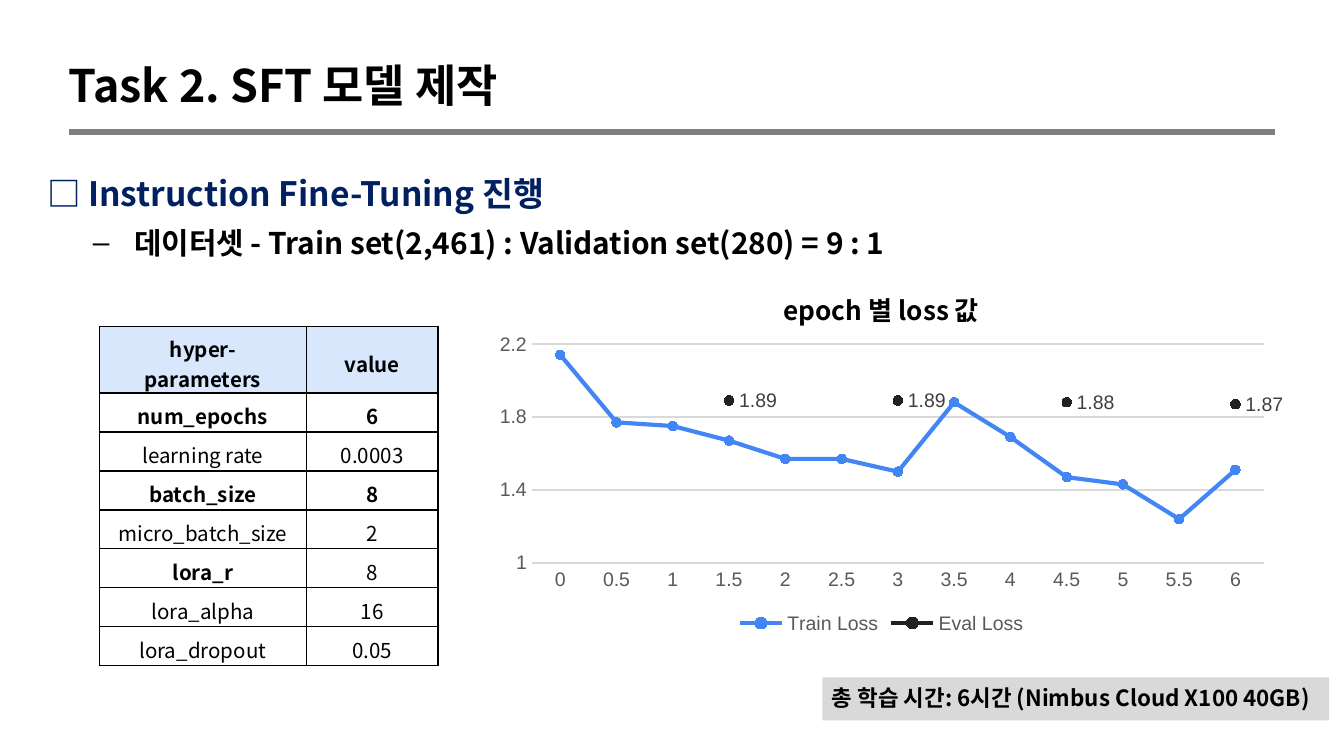
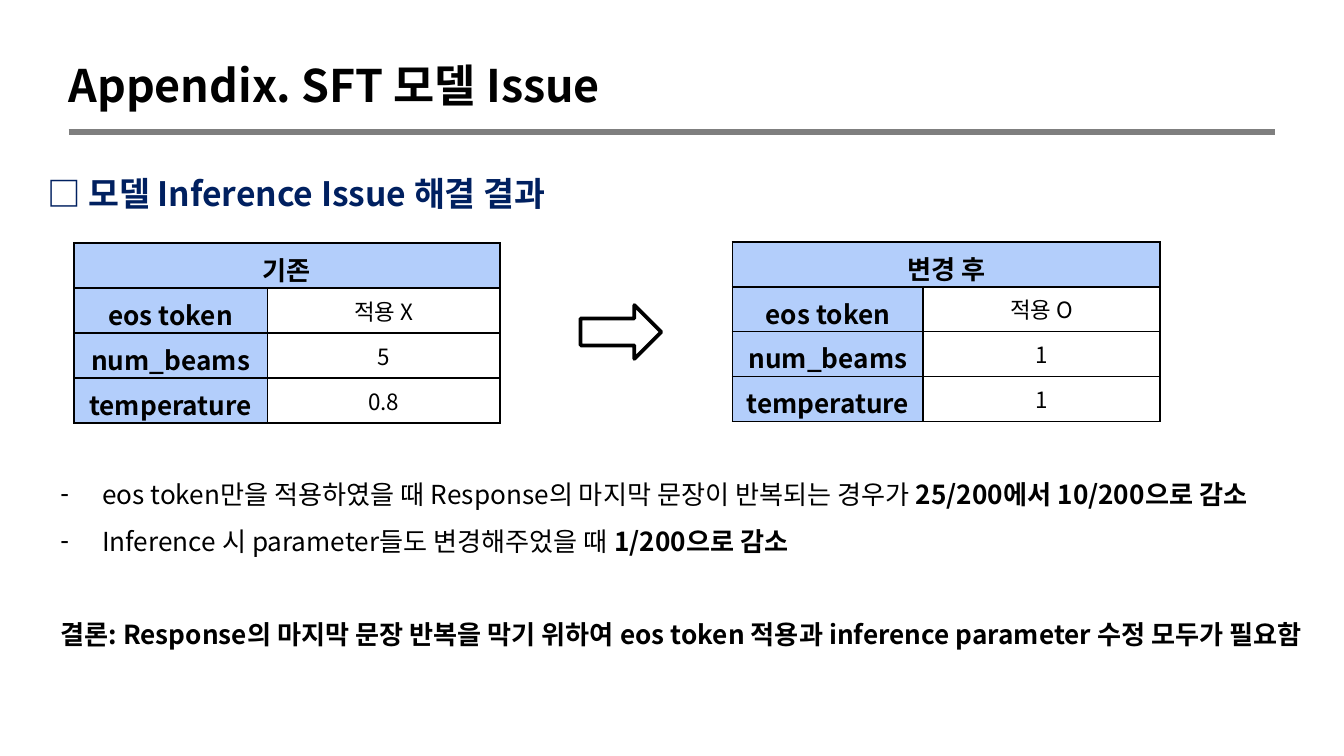
from lxml.etree import Element, SubElement
from pptx import Presentation
from pptx.chart.data import CategoryChartData
from pptx.dml.color import RGBColor
from pptx.enum.chart import (XL_CHART_TYPE, XL_LABEL_POSITION,
                             XL_LEGEND_POSITION, XL_MARKER_STYLE, XL_TICK_MARK)
from pptx.enum.shapes import MSO_CONNECTOR, MSO_SHAPE
from pptx.enum.text import MSO_ANCHOR, MSO_AUTO_SIZE, PP_ALIGN
from pptx.oxml.ns import qn
from pptx.util import Inches, Pt

FONT = "Noto Sans CJK KR"
PLAIN = "Arial"
BLACK = RGBColor(0, 0, 0)
NAVY = RGBColor(0x00, 0x20, 0x60)
GRAY = RGBColor(0x7F, 0x7F, 0x7F)
SILVER = RGBColor(0xD9, 0xD9, 0xD9)
SLATE = RGBColor(0x59, 0x59, 0x59)
COAL = RGBColor(0x40, 0x40, 0x40)
INK = RGBColor(0x21, 0x21, 0x21)
BLUE = RGBColor(0x42, 0x85, 0xF4)
PALE = RGBColor(0xD9, 0xE7, 0xFD)
SKY = RGBColor(0xB3, 0xCE, 0xFB)

COLS, ROWS = 100, 56.25
UNIT = Inches(0.1)
WIDE = (0.1, 0.1)
TIGHT = (0.07, 0.04)
STEP = 0.31

PARAMS = [("hyper-parameters", "value", "both"), ("num_epochs", "6", "both"),
          ("learning rate", "0.0003", ""), ("batch_size", "8", "both"),
          ("micro_batch_size", "2", ""), ("lora_r", "8", "name"),
          ("lora_alpha", "16", ""), ("lora_dropout", "0.05", "")]
TRAIN = [2.14, 1.77, 1.75, 1.67, 1.57, 1.57, 1.5, 1.88, 1.69, 1.47, 1.43, 1.24, 1.51]
EVAL = {1.5: 1.89, 3: 1.89, 4.5: 1.88, 6: 1.87}
KEYS = ["eos token", "num_beams", "temperature"]


def grid(*cells):
    return [int(cell * UNIT) for cell in cells]


def place(shape, box):
    shape.left, shape.top, shape.width, shape.height = grid(*box)


def style(run, size, bold=False, color=BLACK):
    font = run.font
    font.size, font.bold, font.name = Pt(size), bold, FONT
    font.color.rgb = color
    SubElement(run._r.get_or_add_rPr(), qn("a:ea"), typeface=FONT)


def setup(frame, pad, anchor):
    frame.word_wrap = True
    frame.auto_size = MSO_AUTO_SIZE.NONE
    frame.margin_left = frame.margin_right = Inches(pad[0])
    frame.margin_top = frame.margin_bottom = Inches(pad[1])
    frame.vertical_anchor = anchor


def write(para, parts, size, space, align=PP_ALIGN.JUSTIFY, color=BLACK,
          bullet=None, before=0):
    props = para._p.get_or_add_pPr()
    hang = Inches(STEP) if bullet else 0
    props.set("marL", str(hang))
    props.set("indent", str(-hang))
    if bullet:
        SubElement(props, qn("a:buChar"), char=bullet)
    else:
        SubElement(props, qn("a:buNone"))
    para.alignment, para.line_spacing = align, space
    para.space_before, para.space_after = Pt(before), Pt(0)
    for text, bold in parts:
        run = para.add_run()
        run.text = text
        style(run, size, bold, color)


def label(shape, text, size, space=0.9, pad=TIGHT, anchor=MSO_ANCHOR.MIDDLE, **look):
    setup(shape.text_frame, pad, anchor)
    write(shape.text_frame.paragraphs[0], [(text, True)], size, space, **look)


def start(deck, title, topic):
    slide = deck.slides.add_slide(deck.slide_layouts[3])
    head, body, notes = slide.placeholders
    place(head, (4.1, 2.1, 66.2, 7.3))
    place(body, (2.5, 10.4, 96.4, 6.6))
    top = dict(pad=WIDE, anchor=MSO_ANCHOR.TOP, align=PP_ALIGN.LEFT)
    label(head, title, 24, 1.3, **top)
    label(body, "□ " + topic, 18, 1.5, color=NAVY, **top)
    rule = slide.shapes.add_connector(MSO_CONNECTOR.STRAIGHT, *grid(5.1, 9.8, 94.9, 9.8))
    rule.line.color.rgb, rule.line.width = GRAY, Pt(3)
    SubElement(rule._element.spPr, qn("a:effectLst"))
    return slide, notes


def edge(cell):
    props = cell._tc.get_or_add_tcPr()
    for spot, side in enumerate(("lnL", "lnR", "lnT", "lnB")):
        line = Element(qn("a:" + side), w=str(Pt(1)))
        fill = SubElement(line, qn("a:solidFill"))
        SubElement(fill, qn("a:srgbClr"), val=str(BLACK))
        props.insert(spot, line)


def fill(cell, text, size, bold, color=None, pad=(0.05, 0)):
    if color:
        cell.fill.solid()
        cell.fill.fore_color.rgb = color
    else:
        cell.fill.background()
    edge(cell)
    cell.vertical_anchor = MSO_ANCHOR.MIDDLE
    cell.margin_top, cell.margin_bottom = map(Inches, pad)
    para = cell.text_frame.paragraphs[0]
    para.text = text
    para.alignment = PP_ALIGN.CENTER
    for run in para.runs:
        style(run, size, bold)


def table(slide, left, top, widths, heights):
    box = grid(left, top, sum(widths), sum(heights))
    result = slide.shapes.add_table(len(heights), len(widths), *box).table
    result.first_row = result.horz_banding = False
    for column, width in zip(result.columns, grid(*widths)):
        column.width = width
    for row, height in zip(result.rows, grid(*heights)):
        row.height = height
    return result


def params(slide):
    result = table(slide, 7.4, 24.3, (15.4, 9.8), [4.7] + [2.9] * 7)
    for row, (name, value, bold) in enumerate(PARAMS):
        color = None if row else PALE
        fill(result.cell(row, 0), name, 11, bold != "", color)
        fill(result.cell(row, 1), value, 11, bold == "both", color)


def state(slide, left, top, widths, title, values):
    result = table(slide, left, top, widths, [3.33] * 4)
    head = result.cell(0, 0)
    head.merge(result.cell(0, 1))
    fill(head, title, 14, True, SKY)
    edge(result.cell(0, 1))
    for row, (name, value) in enumerate(zip(KEYS, values), 1):
        fill(result.cell(row, 0), name, 14, True, SKY)
        fill(result.cell(row, 1), value, 12, False, pad=(0.02, 0.02))


def tone(font, color):
    font.name, font.size = PLAIN, Pt(10.5)
    font.color.rgb = color


def chart(slide, box):
    times = [step / 2 for step in range(len(TRAIN))]
    data = CategoryChartData()
    data.categories = [f"{time:g}" for time in times]
    data.add_series("Train Loss", TRAIN)
    data.add_series("Eval Loss", [EVAL.get(time) for time in times])
    plot = slide.shapes.add_chart(XL_CHART_TYPE.LINE_MARKERS, *grid(*box), data).chart
    tone(plot.font, BLACK)
    plot.has_title = False
    plot.has_legend = True
    plot.legend.position = XL_LEGEND_POSITION.BOTTOM
    plot.legend.include_in_layout = False
    tone(plot.legend.font, SLATE)
    across, up = plot.category_axis, plot.value_axis
    for axis in (across, up):
        axis.major_tick_mark = axis.minor_tick_mark = XL_TICK_MARK.NONE
        tone(axis.tick_labels.font, SLATE)
    up.minimum_scale, up.maximum_scale, up.major_unit = 1, 2.2, 0.4
    up.tick_labels.number_format = "General"
    up.tick_labels.number_format_is_linked = False
    up.format.line.fill.background()
    for line in (across.format.line, up.major_gridlines.format.line):
        line.color.rgb, line.width = SILVER, Pt(0.75)
    plot.plots[0].vary_by_categories = False
    for series, color in zip(plot.plots[0].series, (BLUE, INK)):
        series.smooth = False
        series.format.line.color.rgb, series.format.line.width = color, Pt(2.25)
        mark = series.marker
        mark.style, mark.size = XL_MARKER_STYLE.CIRCLE, 5
        mark.format.fill.solid()
        mark.format.fill.fore_color.rgb = color
        mark.format.line.color.rgb = color
    labels = plot.plots[0].series[1].data_labels
    labels.show_value = True
    labels.position = XL_LABEL_POSITION.RIGHT
    tone(labels.font, COAL)


def train(deck):
    slide, notes = start(deck, "Task 2. SFT 모델 제작", "Instruction Fine-Tuning 진행")
    place(notes, (6.2, 16.6, 62.1, 3.2))
    label(notes, "데이터셋 - Train set(2,461) : Validation set(280) = 9 : 1", 16, bullet="–")
    params(slide)
    chart(slide, (36, 24.3, 59.5, 23.3))
    band = slide.shapes.add_shape(MSO_SHAPE.RECTANGLE, *grid(61.2, 50.4, 37.7, 3.2))
    band.shadow.inherit = False
    band.fill.solid()
    band.fill.fore_color.rgb = SILVER
    band.line.fill.background()
    label(band, "총 학습 시간: 6시간 (Nimbus Cloud X100 40GB)", 12)
    name = slide.shapes.add_textbox(*grid(57.6, 21.6, 18.4, 3.2))
    label(name, "epoch 별 loss 값", 14)


def issue(deck):
    slide, notes = start(deck, "Appendix. SFT 모델 Issue", "모델 Inference Issue 해결 결과")
    state(slide, 5.5, 18.1, (14.4, 17.3), "기존", ["적용 X", "5", "0.8"])
    state(slide, 54.5, 18, (14.2, 17.6), "변경 후", ["적용 O", "1", "1"])
    arrow = slide.shapes.add_shape(MSO_SHAPE.DOWN_ARROW, *grid(44.2, 21.7, 4, 6))
    arrow.rotation = 270
    arrow.shadow.inherit = False
    arrow.fill.background()
    arrow.line.color.rgb, arrow.line.width = BLACK, Pt(2)
    place(notes, (3.5, 33.9, 94.8, 18.7))
    frame = notes.text_frame
    setup(frame, (0.1, 0.05), MSO_ANCHOR.TOP)
    write(frame.paragraphs[0], [
        ("eos token만을 적용하였을 때 Response의 마지막 문장이 반복되는 경우가 ", False),
        ("25/200에서 10/200으로 감소", True)], 14, 1.5, bullet="-")
    write(frame.add_paragraph(), [
        ("Inference 시 parameter들도 변경해주었을 때 ", False),
        ("1/200으로 감소", True)], 14, 1.5, bullet="-")
    write(frame.add_paragraph(), [
        ("결론: Response의 마지막 문장 반복을 막기 위하여 eos token 적용과 "
         "inference parameter 수정 모두가 필요함", True)], 14, 1.5, before=25)


def main():
    deck = Presentation()
    deck.slide_width, deck.slide_height = grid(COLS, ROWS)
    train(deck)
    issue(deck)
    deck.save("out.pptx")


if __name__ == "__main__":
    main()
